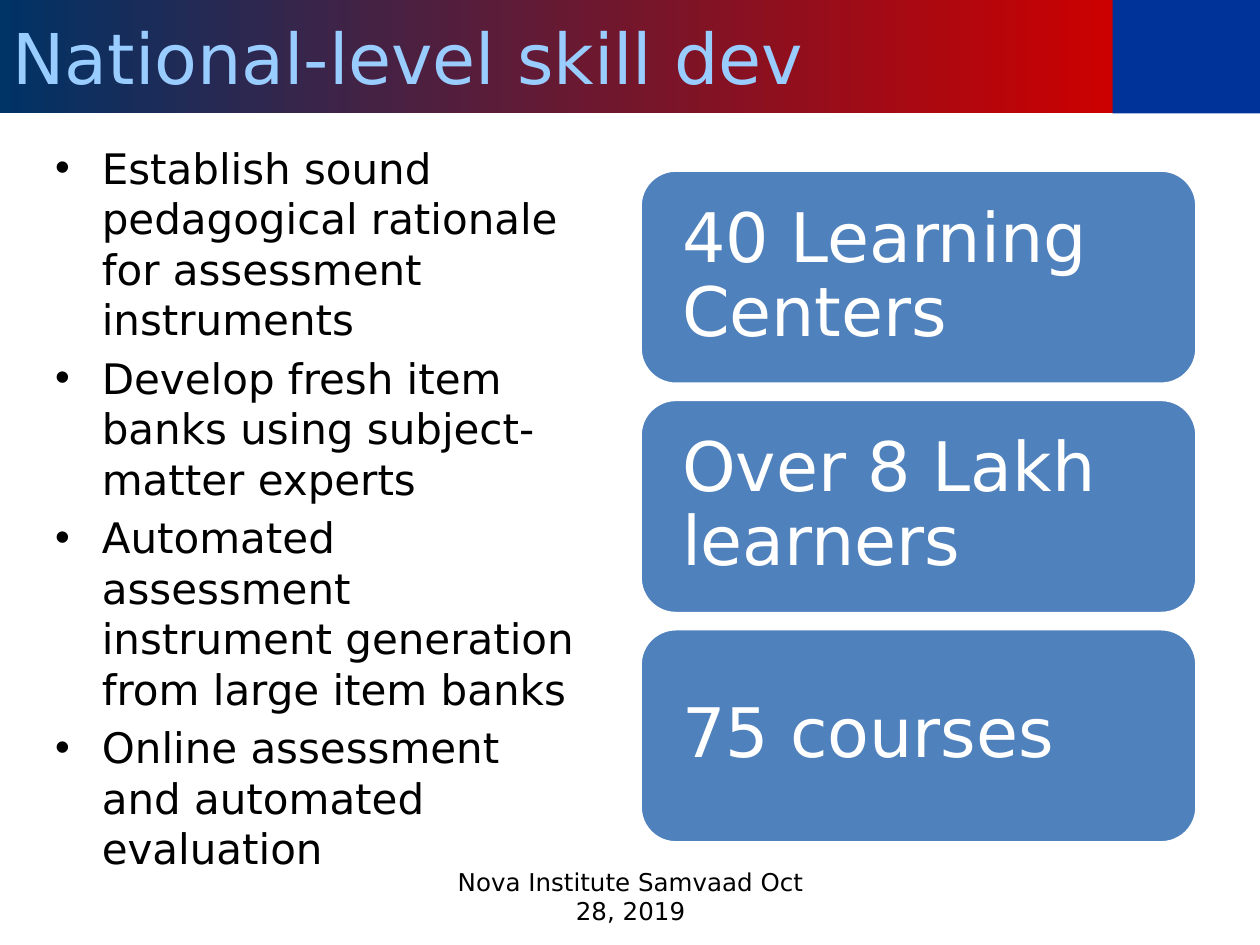
from lxml import etree
from pptx import Presentation
from pptx.dml.color import RGBColor
from pptx.enum.shapes import MSO_SHAPE
from pptx.enum.text import MSO_ANCHOR, MSO_AUTO_SIZE, PP_ALIGN
from pptx.oxml.ns import qn
from pptx.util import Inches, Pt

LEFT, CENTER = PP_ALIGN.LEFT, PP_ALIGN.CENTER
TOP, MIDDLE = MSO_ANCHOR.TOP, MSO_ANCHOR.MIDDLE
RECTANGLE, ROUNDED = MSO_SHAPE.RECTANGLE, MSO_SHAPE.ROUNDED_RECTANGLE

FONT = "DejaVu Sans"
COLORS = {
    "corner": "003399",
    "banner_start": "003366",
    "banner_end": "CC0000",
    "title": "99CCFF",
    "card": "4F81BD",
    "white": "FFFFFF",
    "black": "000000",
}

TITLE = "National-level skill dev"
GOALS = [
    "Establish sound pedagogical rationale for assessment instruments",
    "Develop fresh item banks using subject-matter experts",
    "Automated assessment instrument generation from large item banks",
    "Online assessment and automated evaluation",
]
ACHIEVEMENTS = ["40 Learning Centers", "Over 8 Lakh learners", "75 courses"]
FOOTER = "Nova Institute Samvaad Oct 28, 2019"

BANNER_HEIGHT = 0.9
CARD_LEFT, CARD_TOP, CARD_WIDTH, CARD_HEIGHT = 5.08, 1.35, 4.42, 1.7
CARD_STEP = 1.82


def color(name):
    return RGBColor.from_string(COLORS[name])


def box(left, top, width, height):
    return [Inches(value) for value in (left, top, width, height)]


def add_bullet(paragraph):
    """Give the paragraph a round bullet with a hanging indent."""
    properties = paragraph._p.get_or_add_pPr()
    properties.set("marL", str(Inches(0.38)))
    properties.set("indent", str(Inches(-0.37)))
    etree.SubElement(properties, qn("a:buFont"), typeface="Arial")
    etree.SubElement(properties, qn("a:buChar"), char="•")


def write(shape, *lines, size, ink="black", align=LEFT, anchor=TOP, margins=None,
          bullets=False, before=0, after=0, spacing=1.0):
    """Fill the shape with one formatted paragraph per line."""
    frame = shape.text_frame
    frame.word_wrap = True
    frame.auto_size = MSO_AUTO_SIZE.NONE
    frame.vertical_anchor = anchor
    if margins:
        (frame.margin_left, frame.margin_top,
         frame.margin_right, frame.margin_bottom) = map(Inches, margins)
    frame.text = "\n".join(lines)
    for paragraph in frame.paragraphs:
        paragraph.alignment = align
        paragraph.line_spacing = spacing
        paragraph.space_before, paragraph.space_after = Pt(before), Pt(after)
        if bullets:
            add_bullet(paragraph)
        font = paragraph.runs[0].font
        font.name, font.size = FONT, Pt(size)
        font.color.rgb = color(ink)


def add_block(slide, kind, place, fill):
    block = slide.shapes.add_shape(kind, *box(*place))
    block.shadow.inherit = False
    block.fill.solid()
    block.fill.fore_color.rgb = color(fill)
    block.line.fill.background()
    return block


def add_banner(slide):
    add_block(slide, RECTANGLE, (8.83, 0, 1.17, BANNER_HEIGHT), "corner")
    title = slide.shapes.title
    title.left, title.top, title.width, title.height = box(0, 0, 8.84, BANNER_HEIGHT)
    title.fill.gradient()
    title.fill.gradient_angle = 0
    for stop, name in zip(title.fill.gradient_stops, ("banner_start", "banner_end")):
        stop.color.rgb = color(name)
    write(title, TITLE, size=40, ink="title", anchor=MIDDLE)


def add_cards(slide):
    for row, achievement in enumerate(ACHIEVEMENTS):
        place = (CARD_LEFT, CARD_TOP + row * CARD_STEP, CARD_WIDTH, CARD_HEIGHT)
        card = add_block(slide, ROUNDED, place, "card")
        card.adjustments[0] = 0.167
        card.line.color.rgb = color("white")
        card.line.width = Pt(2)
        write(card, achievement, size=39, ink="white", anchor=MIDDLE,
              margins=(0.25, 0.25, 0.16, 0.25), after=13.7, spacing=0.9)


def main():
    deck = Presentation()
    deck.slide_width, deck.slide_height = Inches(10), Inches(7.5)
    slide = deck.slides.add_slide(deck.slide_layouts.get_by_name("Title Only"))

    add_banner(slide)
    goals = slide.shapes.add_textbox(*box(0.33, 1.08, 4.42, 6.08))
    write(goals, *GOALS, size=24, bullets=True, before=4.8)
    add_cards(slide)
    footer = slide.shapes.add_textbox(*box(3.42, 6.83, 3.17, 0.52))
    write(footer, FOOTER, size=14, align=CENTER)

    deck.save("out.pptx")


if __name__ == "__main__":
    main()
